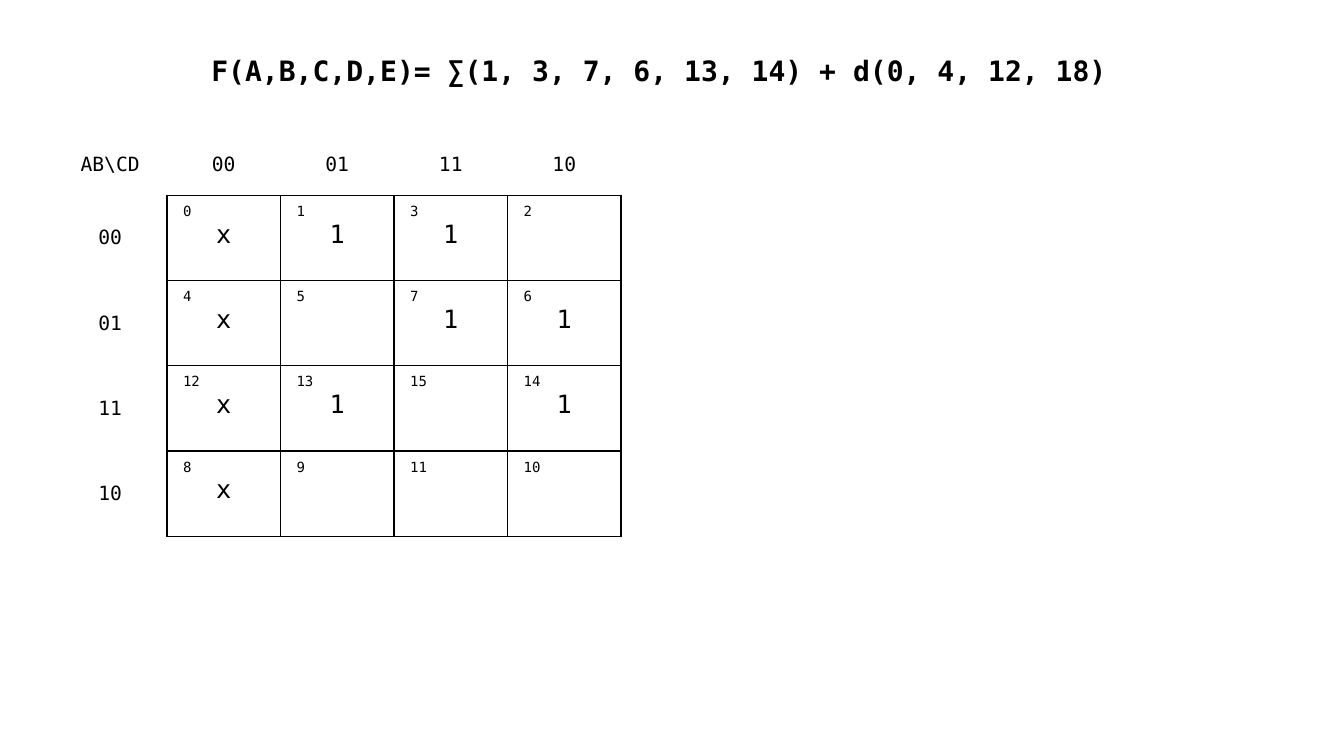
from lxml import etree
from pptx import Presentation
from pptx.dml.color import RGBColor
from pptx.enum.text import MSO_ANCHOR, MSO_AUTO_SIZE, PP_ALIGN
from pptx.oxml.ns import qn
from pptx.util import Inches, Pt

CENTER, LEFT = PP_ALIGN.CENTER, PP_ALIGN.LEFT
MIDDLE, TOP = MSO_ANCHOR.MIDDLE, MSO_ANCHOR.TOP
GROW = MSO_AUTO_SIZE.SHAPE_TO_FIT_TEXT

COLORS = {"ink": "000000", "paper": "FFFFFF"}
FONT = "DejaVu Sans Mono"
TITLE = "F(A,B,C,D,E)= ∑(1, 3, 7, 6, 13, 14) + d(0, 4, 12, 18) "
GRAY_CODE = ["00", "01", "11", "10"]
MARKS = {**dict.fromkeys([1, 3, 6, 7, 13, 14], "1"),
         **dict.fromkeys([0, 4, 8, 12], "x")}
MAP_LEFT, MAP_TOP, MAP_WIDTH, MAP_HEIGHT = 0.53, 1.32, 5.63, 4
HEADER_HEIGHT = 0.62


def format_paragraph(p, size, align, bold=False):
    p.alignment = align
    for r in p.runs:
        r.font.name = FONT
        r.font.size = Pt(size)
        r.font.bold = bold
        r.font.color.rgb = RGBColor.from_string(COLORS["ink"])


def add_title(slide):
    box = slide.shapes.add_textbox(Inches(0.87), Inches(0.43), Inches(11.5), Inches(0.49))
    tf = box.text_frame
    tf.word_wrap = True
    tf.auto_size = GROW
    p = tf.paragraphs[0]
    p.text = TITLE
    p.line_spacing = 1.15
    p.space_before = p.space_after = Pt(6)
    format_paragraph(p, 20, CENTER, bold=True)


def set_borders(cell, visible):
    """Draw the named sides (L, R, T, B) in ink and clear the others."""
    tc_pr = cell._tc.get_or_add_tcPr()
    for i, side in enumerate("LRTB"):
        ln = etree.Element(qn(f"a:ln{side}"), w=str(Pt(1)))
        if side in visible:
            fill = etree.SubElement(ln, qn("a:solidFill"))
            etree.SubElement(fill, qn("a:srgbClr"), val=COLORS["ink"])
        else:
            etree.SubElement(ln, qn("a:noFill"))
        tc_pr.insert(i, ln)


def fill_cell(cell, lines, anchor, borders):
    """Write (text, size, alignment) lines into a cell and style it."""
    cell.margin_left = cell.margin_right = Inches(0.16)
    cell.margin_top = cell.margin_bottom = Inches(0.08)
    cell.vertical_anchor = anchor
    cell.fill.solid()
    cell.fill.fore_color.rgb = RGBColor.from_string(COLORS["paper"])
    set_borders(cell, borders)
    tf = cell.text_frame
    tf.text = "\n".join(text for text, _, _ in lines)
    for p, (_, size, align) in zip(tf.paragraphs, lines):
        format_paragraph(p, size, align)


def add_karnaugh_map(slide):
    n = len(GRAY_CODE) + 1
    frame = slide.shapes.add_table(n, n, Inches(MAP_LEFT), Inches(MAP_TOP),
                                   Inches(MAP_WIDTH), Inches(MAP_HEIGHT))
    table = frame.table
    table.first_row = table.horz_banding = False
    for col in table.columns:
        col.width = Inches(MAP_WIDTH / n)
    for row in table.rows:
        row.height = Inches((MAP_HEIGHT - HEADER_HEIGHT) / (n - 1))
    table.rows[0].height = Inches(HEADER_HEIGHT)

    fill_cell(table.cell(0, 0), [("AB\\CD", 14, CENTER)], MIDDLE, "")
    for i, row_code in enumerate(GRAY_CODE, 1):
        label = [(row_code, 14, CENTER)]
        fill_cell(table.cell(0, i), label, MIDDLE, "B")
        fill_cell(table.cell(i, 0), label, MIDDLE, "R")
        for j, col_code in enumerate(GRAY_CODE, 1):
            minterm = int(row_code + col_code, 2)
            lines = [(str(minterm), 10, LEFT)]
            if minterm in MARKS:
                lines.append((MARKS[minterm], 18, CENTER))
            fill_cell(table.cell(i, j), lines, TOP, "LRTB")


def main():
    prs = Presentation()
    prs.slide_width, prs.slide_height = Inches(13.33), Inches(7.5)
    slide = prs.slides.add_slide(prs.slide_layouts[6])
    add_karnaugh_map(slide)
    add_title(slide)
    prs.save("out.pptx")


if __name__ == "__main__":
    main()
